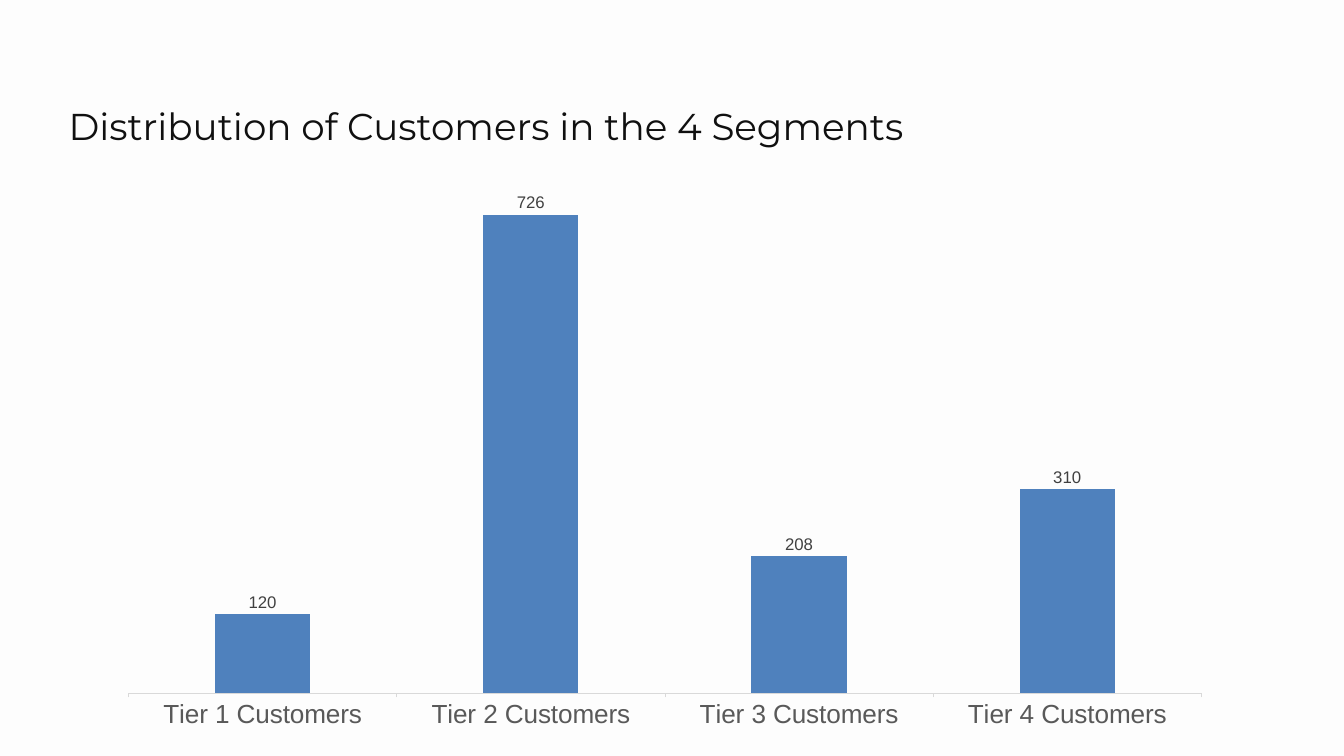
from pptx import Presentation
from pptx.chart.data import CategoryChartData
from pptx.dml.color import RGBColor
from pptx.enum.chart import XL_CHART_TYPE, XL_LABEL_POSITION, XL_TICK_LABEL_POSITION, XL_TICK_MARK
from pptx.enum.text import MSO_AUTO_SIZE
from pptx.util import Inches, Pt

COLUMN = XL_CHART_TYPE.COLUMN_CLUSTERED
OUTSIDE_END = XL_LABEL_POSITION.OUTSIDE_END
LABELS_LOW = XL_TICK_LABEL_POSITION.LOW
TICK_OUT = XL_TICK_MARK.OUTSIDE
TICK_NONE = XL_TICK_MARK.NONE
GROW = MSO_AUTO_SIZE.SHAPE_TO_FIT_TEXT

BACKGROUND = RGBColor(0xFD, 0xFD, 0xFD)
INK = RGBColor(0x10, 0x10, 0x10)
BLACK = RGBColor(0, 0, 0)
BLUE = RGBColor(0x4F, 0x81, 0xBD)
AXIS_TEXT = RGBColor(0x59, 0x59, 0x59)
AXIS_LINE = RGBColor(0xD9, 0xD9, 0xD9)
LABEL_TEXT = RGBColor(0x40, 0x40, 0x40)

CUSTOMERS = {
    "Tier 1 Customers": 120,
    "Tier 2 Customers": 726,
    "Tier 3 Customers": 208,
    "Tier 4 Customers": 310,
}


def set_all(obj, values):
    for name, value in values.items():
        setattr(obj, name, value)


class SlideBuilder:
    TITLE_FONT = "Montserrat"
    CHART_FONT = "Arial"

    def __init__(self, slide):
        self.s = slide
        fill = slide.background.fill
        fill.solid()
        fill.fore_color.rgb = BACKGROUND

    def style_font(self, font, name, size, color):
        set_all(font, {"name": name, "size": Pt(size), "bold": False})
        font.color.rgb = color

    def title(self, text, left, top, width, height):
        box = self.s.shapes.add_textbox(Inches(left), Inches(top), Inches(width), Inches(height))
        tf = box.text_frame
        set_all(tf, {
            "word_wrap": True, "auto_size": GROW,
            "margin_left": 0, "margin_top": 0, "margin_right": 0, "margin_bottom": 0,
        })
        p = tf.paragraphs[0]
        p.line_spacing = 1.4
        r = p.add_run()
        r.text = text
        self.style_font(r.font, self.TITLE_FONT, 40, INK)

    def column_chart(self, values, left, top, width, height):
        data = CategoryChartData()
        data.categories = list(values)
        data.add_series("Series 1", list(values.values()))
        frame = self.s.shapes.add_chart(
            COLUMN, Inches(left), Inches(top), Inches(width), Inches(height), data)
        chart = frame.chart
        set_all(chart, {"has_legend": False, "has_title": False})
        self.style_font(chart.font, self.CHART_FONT, 10, BLACK)

        plot = chart.plots[0]
        set_all(plot, {"gap_width": 182, "vary_by_categories": False, "has_data_labels": True})
        fill = plot.series[0].format.fill
        fill.solid()
        fill.fore_color.rgb = BLUE
        labels = plot.data_labels
        set_all(labels, {"show_value": True, "position": OUTSIDE_END})
        self.style_font(labels.font, self.CHART_FONT, 18, LABEL_TEXT)

        cat_axis = chart.category_axis
        set_all(cat_axis, {
            "major_tick_mark": TICK_OUT, "minor_tick_mark": TICK_NONE,
            "tick_label_position": LABELS_LOW, "has_major_gridlines": False,
        })
        self.style_font(cat_axis.tick_labels.font, self.CHART_FONT, 28, AXIS_TEXT)
        line = cat_axis.format.line
        line.width = Pt(0.75)
        line.color.rgb = AXIS_LINE
        set_all(chart.value_axis, {
            "visible": False, "has_major_gridlines": False,
            "minimum_scale": 0, "maximum_scale": 800,
        })


def main():
    prs = Presentation()
    set_all(prs, {"slide_width": Inches(20), "slide_height": Inches(11.25)})
    builder = SlideBuilder(prs.slides.add_slide(prs.slide_layouts[6]))
    builder.title("Distribution of Customers in the 4 Segments", 1.02, 1.27, 15.76, 0.67)
    builder.column_chart(CUSTOMERS, 1.58, 2.3, 16.63, 8.72)
    prs.save("out.pptx")


if __name__ == "__main__":
    main()
